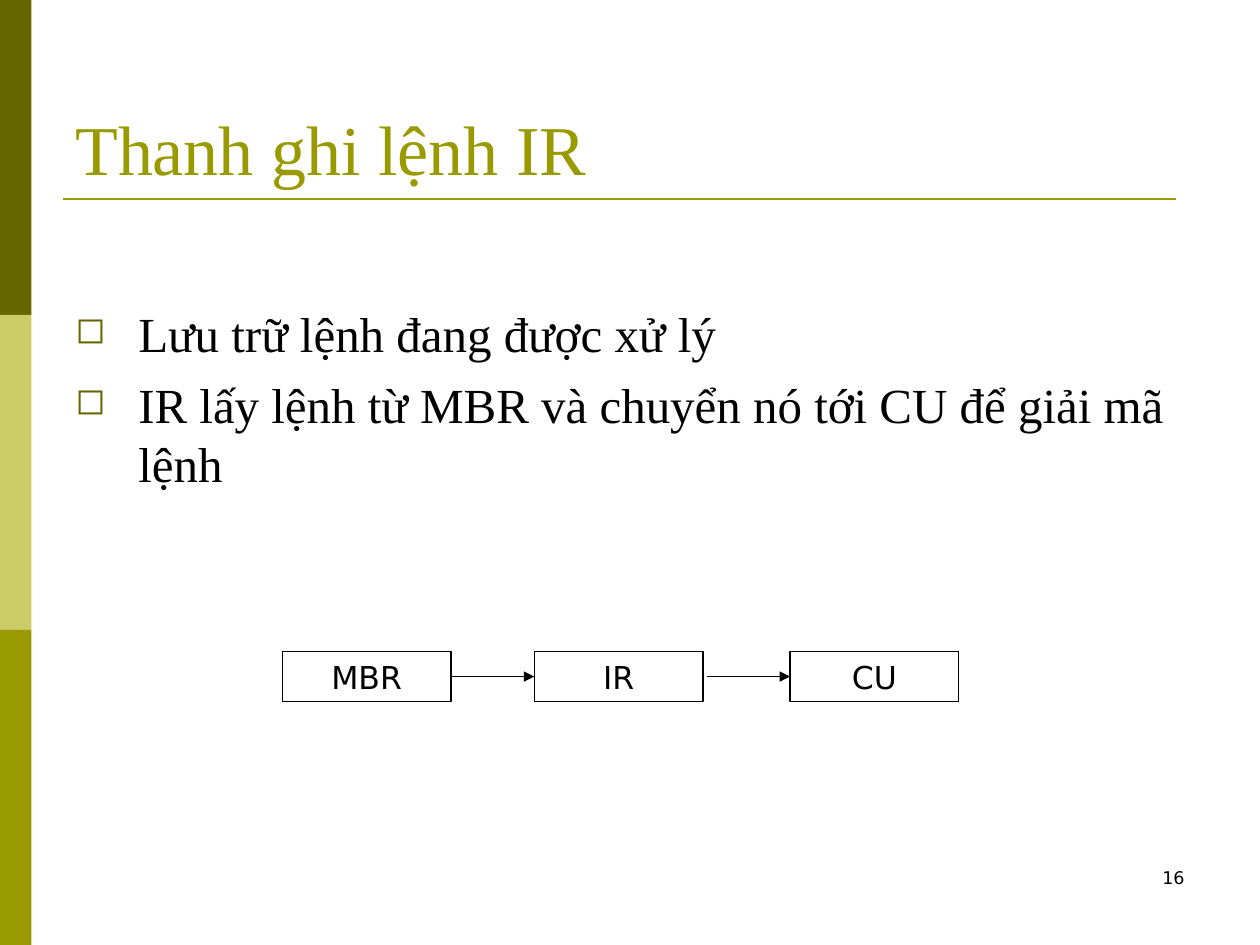
from lxml import etree
from pptx import Presentation
from pptx import util as u
from pptx.dml.color import RGBColor
from pptx.enum import shapes, text
from pptx.oxml import ns

WIDE, HIGH = 10, 7.5
DARK = RGBColor(0x66, 0x66, 0x00)
PALE = RGBColor(0xCC, 0xCC, 0x66)
OLIVE = RGBColor(0x99, 0x99, 0x00)
BLACK = RGBColor(0, 0, 0)
SERIF, SANS = "Times New Roman", "DejaVu Sans"
LEFT, MID, RIGHT = text.PP_ALIGN.LEFT, text.PP_ALIGN.CENTER, text.PP_ALIGN.RIGHT
TOP, CENTER, BASE = text.MSO_ANCHOR.TOP, text.MSO_ANCHOR.MIDDLE, text.MSO_ANCHOR.BOTTOM


def add_sub(node, tag, **attrs):
    return etree.SubElement(node, ns.qn(tag), attrs)


def add_run(para, words, size, font, color):
    run = para.add_run()
    run.text = words
    run.font.size = u.Pt(size)
    run.font.name = font
    run.font.color.rgb = color


def add_rect(slide, x, y, w, h, fill=None):
    rect = slide.shapes.add_shape(
        shapes.MSO_SHAPE.RECTANGLE, *map(u.Inches, (x, y, w, h)))
    rect.shadow.inherit = False
    if fill is None:
        rect.fill.background()
        rect.line.color.rgb = BLACK
        rect.line.width = u.Pt(0.75)
    else:
        rect.fill.solid()
        rect.fill.fore_color.rgb = fill
        rect.line.fill.background()
    return rect


def add_text(slide, x, y, w, h, anchor=TOP):
    frame = slide.shapes.add_textbox(*map(u.Inches, (x, y, w, h))).text_frame
    frame.word_wrap = True
    frame.vertical_anchor = anchor
    return frame


def add_label(frame, words, size, font, color, align):
    para = frame.paragraphs[0]
    para.alignment = align
    add_run(para, words, size, font, color)


def add_line(slide, x, y, end, color, width, arrow=False):
    line = slide.shapes.add_connector(
        shapes.MSO_CONNECTOR.STRAIGHT, *map(u.Inches, (x, y, end, y)))
    line.line.color.rgb = color
    line.line.width = u.Pt(width)
    if arrow:
        add_sub(line.line._get_or_add_ln(), "a:tailEnd", type="triangle")
    add_sub(line._element.spPr, "a:effectLst")
    return line


def add_list(frame, items):
    for i, item in enumerate(items):
        para = frame.paragraphs[0] if i == 0 else frame.add_paragraph()
        props = para._p.get_or_add_pPr()
        props.set("marL", str(u.Inches(0.5)))
        props.set("indent", str(u.Inches(-0.5)))
        add_sub(add_sub(props, "a:buClr"), "a:srgbClr", val=str(DARK))
        add_sub(props, "a:buSzPct", val="75000")
        add_sub(props, "a:buChar", char="◻")
        if i:
            para.space_before = u.Pt(7)
        add_run(para, item, 28, SERIF, BLACK)


def add_flow(slide, names, lefts, y, w, h):
    boxes = []
    for name, x in zip(names, lefts):
        box = add_rect(slide, x, y, w, h)
        box.text_frame.vertical_anchor = CENTER
        add_label(box.text_frame, name, 18, SANS, BLACK, MID)
        boxes.append(box)
    gaps = (0, 0.03)
    for i, gap in enumerate(gaps):
        line = add_line(slide, lefts[i] + w + gap, y + h / 2,
                        lefts[i + 1], BLACK, 0.75, arrow=True)
        if not gap:
            line.begin_connect(boxes[i], 3)
        line.end_connect(boxes[i + 1], 1)


def main():
    deck = Presentation()
    deck.slide_width, deck.slide_height = u.Inches(WIDE), u.Inches(HIGH)
    slide = deck.slides.add_slide(deck.slide_layouts[6])

    band = HIGH / 3
    for i, color in enumerate((DARK, PALE, OLIVE)):
        add_rect(slide, 0, i * band, WIDE / 40, band, color)

    edge, span = WIDE * 0.05, WIDE * 0.9
    add_line(slide, edge, 1.58, 9.33, OLIVE, 1.5)
    title = add_text(slide, edge, 0.3, span, 1.25, BASE)
    add_label(title, "Thanh ghi lệnh IR", 40, SERIF, OLIVE, LEFT)

    add_list(add_text(slide, edge, 2.36, span, 1.75), (
        "Lưu trữ lệnh đang được xử lý",
        "IR lấy lệnh từ MBR và chuyển nó tới CU để giải mã lệnh",
    ))
    add_flow(slide, ("MBR", "IR", "CU"), (2.24, 4.24, 6.27), 5.17, 1.34, 0.4)

    page = add_text(slide, 7.17, 6.83, 2.33, 0.5)
    add_label(page, "16", 10, SANS, BLACK, RIGHT)
    deck.save("out.pptx")


if __name__ == "__main__":
    main()
